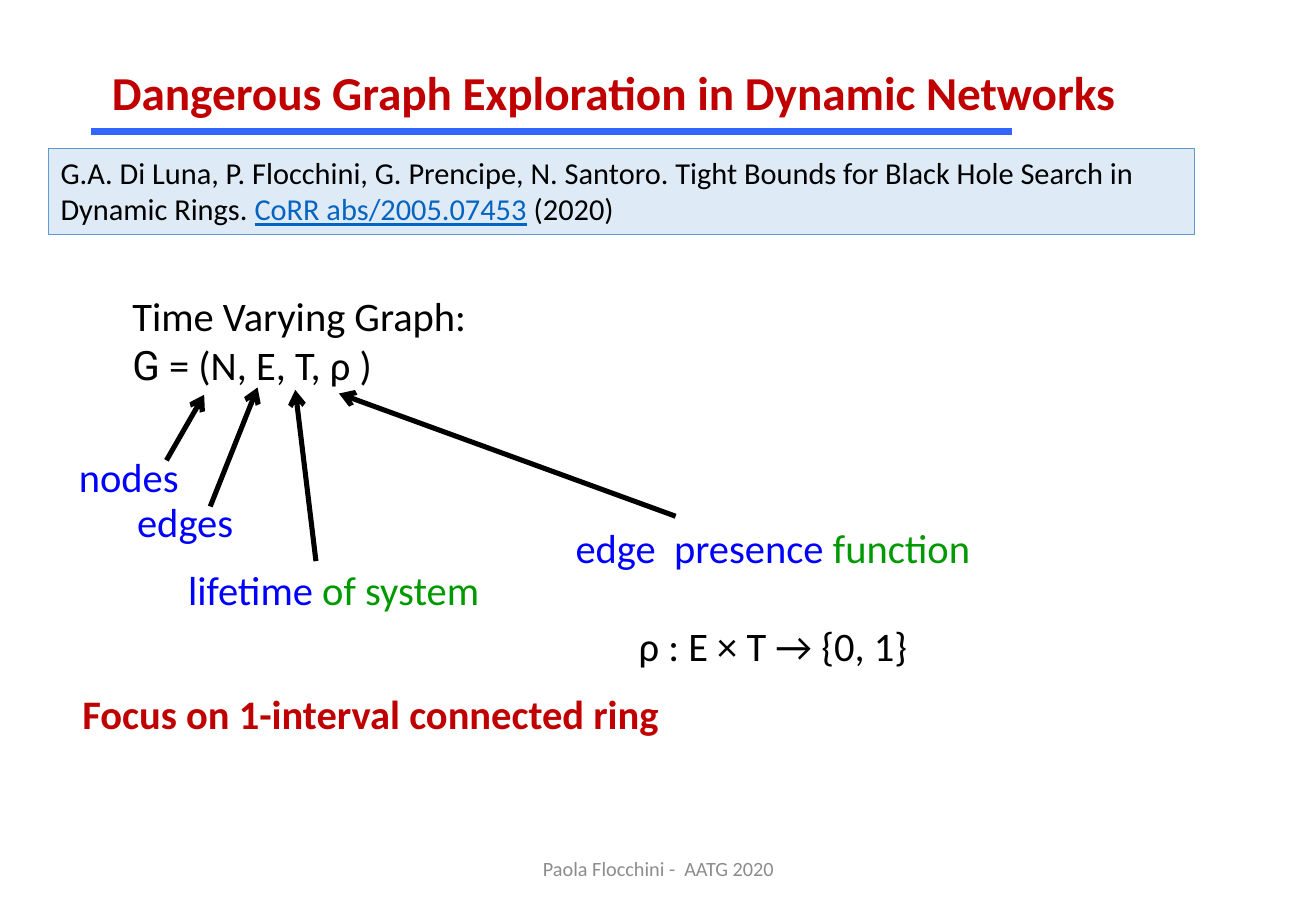
from lxml.etree import SubElement
from pptx import Presentation
from pptx.dml.color import RGBColor
from pptx.enum.shapes import MSO_CONNECTOR, MSO_SHAPE
from pptx.enum.text import MSO_ANCHOR, MSO_AUTO_SIZE, PP_ALIGN
from pptx.oxml.ns import qn
from pptx.util import Inches, Pt

COLORS = {
    "black": "000000", "red": "C00000", "blue": "0000FF", "green": "009900",
    "gray": "8C8C8C", "rule": "3366FF", "link": "0563C1",
    "citation_fill": "DEEBF7", "citation_line": "5B9BD5",
}


def color(name):
    """Return the named colour."""
    return RGBColor.from_string(COLORS[name])


class SlideBuilder:
    """Holds the text style and the current slide."""

    font_name = "Calibri"
    font_size = 24

    def __init__(self, slide):
        self.slide = slide

    def set_text(self, shape, paragraphs, size=font_size, bold=False,
                 align=PP_ALIGN.LEFT, anchor=MSO_ANCHOR.TOP, space_before=0):
        """Fill a shape with paragraphs, each a list of (text, colour) runs."""
        frame = shape.text_frame
        frame.word_wrap = True
        frame.auto_size = MSO_AUTO_SIZE.NONE
        frame.vertical_anchor = anchor
        for index, runs in enumerate(paragraphs):
            paragraph = frame.add_paragraph() if index else frame.paragraphs[0]
            paragraph.alignment = align
            paragraph.line_spacing = 1
            paragraph.space_before = Pt(space_before if index else 0)
            paragraph.font.name = self.font_name
            paragraph.font.size = Pt(size)
            paragraph.font.bold = bold
            for text, color_name in runs:
                run = paragraph.add_run()
                run.text = text
                run.font.color.rgb = color(color_name)
        return frame

    def title(self, box, text):
        """Move and format the title placeholder."""
        shape = self.slide.shapes.title
        shape.left, shape.top, shape.width, shape.height = map(Inches, box)
        self.set_text(shape, [[(text, "red")]], size=28, bold=True)

    def text(self, box, paragraphs, **style):
        """Add a text box."""
        shape = self.slide.shapes.add_textbox(*map(Inches, box))
        return self.set_text(shape, paragraphs, **style)

    def panel(self, box, paragraphs, **style):
        """Add the outlined citation rectangle."""
        shape = self.slide.shapes.add_shape(
            MSO_SHAPE.RECTANGLE, *map(Inches, box))
        shape.shadow.inherit = False
        shape.fill.solid()
        shape.fill.fore_color.rgb = color("citation_fill")
        shape.line.color.rgb = color("citation_line")
        shape.line.width = Pt(0.5)
        return self.set_text(shape, paragraphs, **style)

    def line(self, start, end, color_name="black", width=3, arrow=False):
        """Add a straight line, with an optional arrowhead at its end."""
        connector = self.slide.shapes.add_connector(
            MSO_CONNECTOR.STRAIGHT, *map(Inches, start + end))
        connector.line.color.rgb = color(color_name)
        connector.line.width = Pt(width)
        properties = connector._element.spPr
        if arrow:
            SubElement(properties.find(qn("a:ln")), qn("a:tailEnd"), type="arrow")
        SubElement(properties, qn("a:effectLst"))


presentation = Presentation()
presentation.slide_width = Inches(10.83)
presentation.slide_height = Inches(7.5)
title_only = presentation.slide_layouts[5]
builder = SlideBuilder(presentation.slides.add_slide(title_only))

builder.title((0.82, 0.47, 8.55, 0.57),
              "Dangerous Graph Exploration in Dynamic Networks")
builder.line((0.75, 1.08), (8.33, 1.08), "rule", 4)

citation = builder.panel((0.4, 1.22, 9.43, 0.71), [[
    ("G.A. Di Luna, P. Flocchini, G. Prencipe, N. Santoro. Tight Bounds for "
     "Black Hole Search in Dynamic Rings. ", "black"),
    ("CoRR abs/2005.07453", "link"),
    (" (2020)", "black"),
]], size=18)
citation.paragraphs[0].runs[1].font.underline = True

definition = builder.text((0.99, 2.35, 5.31, 0.91), [
    [("Time Varying Graph:", "black")],
    [("G", "black"), (" = (N, E, T, ρ )", "black")],
])
definition.paragraphs[1].runs[0].font.name = "Roboto"

# Labels of the graph's components
builder.text((0.55, 3.67, 1.18, 0.5), [[("nodes", "blue")]])
builder.text((1.03, 4.04, 1.18, 0.5), [[("edges", "blue")]])
builder.text((1.45, 4.6, 3.2, 0.5),
             [[("lifetime", "blue"), (" of system", "green")]])
builder.text((4.55, 4.26, 3.62, 1.31), [
    [("edge  presence ", "blue"), ("function", "green")],
    [("ρ : E × T → {0, 1}", "black")],
], align=PP_ALIGN.CENTER, space_before=29)

# Arrows from each label to its symbol in the definition
for label_point, symbol_point in (
    ((1.37, 3.79), (1.68, 3.25)),
    ((1.73, 4.17), (2.12, 3.19)),
    ((2.6, 4.62), (2.43, 3.21)),
    ((5.56, 4.25), (2.79, 3.24)),
):
    builder.line(label_point, symbol_point, arrow=True)

builder.text((0.58, 5.62, 8.2, 0.5),
             [[("Focus on 1-interval connected ring", "red")]], bold=True)
builder.text((3.59, 6.95, 3.66, 0.4),
             [[("Paola Flocchini -  AATG 2020", "gray")]],
             size=12, align=PP_ALIGN.CENTER, anchor=MSO_ANCHOR.MIDDLE)

presentation.save("out.pptx")
